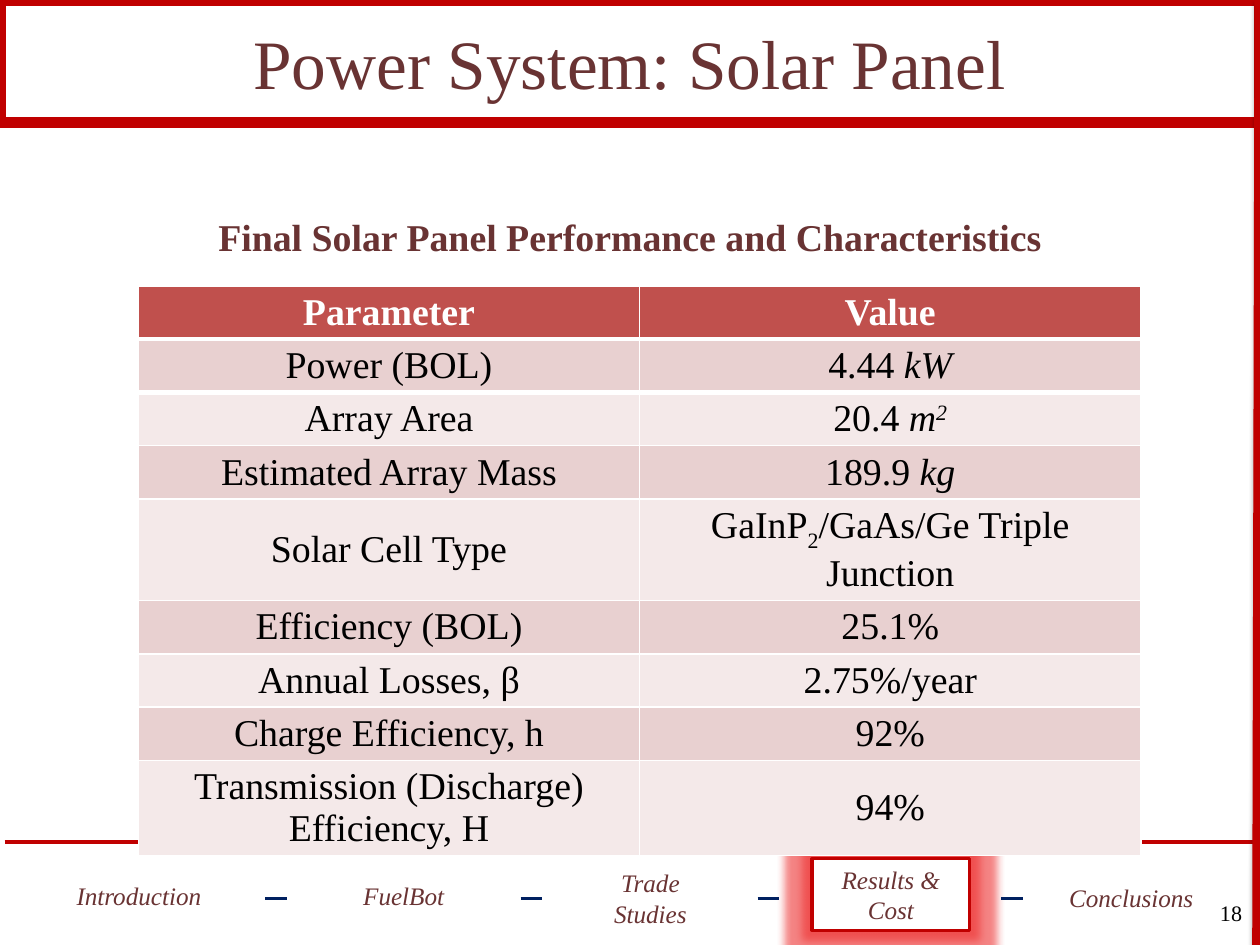
from dataclasses import dataclass

from lxml.etree import SubElement
from pptx import Presentation
from pptx.dml.color import RGBColor
from pptx.enum.shapes import MSO_CONNECTOR as Connector, MSO_SHAPE as Shape
from pptx.enum.text import MSO_ANCHOR as Anchor, PP_ALIGN as Align
from pptx.oxml.ns import qn
from pptx.util import Inches, Pt

FONT = "Times New Roman"
RED, BROWN, NAVY, WHITE, BLACK = "C00000", "693333", "002060", "FFFFFF", "000000"
HEADER_FILL, BAND_FILLS = "C0504D", ("E8D0D0", "F4E9E9")


@dataclass
class Run:
    text: str
    italic: bool = False
    baseline: int = 0


@dataclass
class Label:
    text: str
    left: float
    top: float
    width: float
    height: float
    size: int
    color: str = BROWN
    bold: bool = False
    italic: bool = False
    align: Align = Align.CENTER
    anchor: Anchor = Anchor.MIDDLE


@dataclass
class Section:
    text: str
    left: float
    top: float
    width: float
    boxed: bool = False
    line_width: float = 0


@dataclass
class Rule:
    start: tuple[float, float]
    end: tuple[float, float]
    color: str
    width: float


def rgb(value: str) -> RGBColor:
    return RGBColor.from_string(value)


def style_font(font, size: int, color: str, bold: bool = False) -> None:
    font.name, font.size, font.bold = FONT, Pt(size), bold
    font.color.rgb = rgb(color)


def add_effect(shape, tag: str, color: str, alpha: int, **attributes: int) -> None:
    effects = shape._element.spPr.find(qn("a:effectLst"))
    effect = SubElement(effects, qn(tag))
    for name, value in attributes.items():
        effect.set(name, str(value))
    tint = SubElement(effect, qn("a:srgbClr"), val=color)
    SubElement(tint, qn("a:alpha"), val=str(alpha * 1000))


def add_box(slide, left: float, top: float, width: float, height: float, line_width: float):
    """Add a white rectangle, with a red outline if line_width is not zero."""
    shape = slide.shapes.add_shape(
        Shape.RECTANGLE, Inches(left), Inches(top), Inches(width), Inches(height))
    shape.shadow.inherit = False
    shape.fill.solid()
    shape.fill.fore_color.rgb = rgb(WHITE)
    if line_width:
        shape.line.color.rgb = rgb(RED)
        shape.line.width = Pt(line_width)
    else:
        shape.line.fill.background()
    return shape


def write_label(shape, label: Label) -> None:
    frame = shape.text_frame
    frame.word_wrap = True
    frame.vertical_anchor = label.anchor
    paragraph = frame.paragraphs[0]
    paragraph.text = label.text
    paragraph.alignment = label.align
    style_font(paragraph.font, label.size, label.color, label.bold)
    paragraph.font.italic = label.italic


def add_label(slide, label: Label) -> None:
    box = slide.shapes.add_textbox(Inches(label.left), Inches(label.top),
                                   Inches(label.width), Inches(label.height))
    write_label(box, label)


def add_section(slide, section: Section) -> None:
    """Add one step of the footer; an outlined one is the current step and glows."""
    label = Label(section.text, section.left, section.top, section.width, 0.63, 16,
                  italic=True)
    if not section.boxed:
        add_label(slide, label)
        return
    box = add_box(slide, label.left, label.top, label.width, label.height,
                  section.line_width)
    write_label(box, label)
    if section.line_width:
        add_effect(box, "a:glow", "EE3030", 60, rad=Pt(11))


def add_rule(slide, rule: Rule):
    line = slide.shapes.add_connector(
        Connector.STRAIGHT, *(Inches(value) for value in rule.start + rule.end))
    line.line.color.rgb = rgb(rule.color)
    line.line.width = Pt(rule.width)
    SubElement(line._element.spPr, qn("a:effectLst"))
    return line


def add_cell_border(cell, tag: str, width: float) -> None:
    border = SubElement(cell._tc.get_or_add_tcPr(), qn(tag), w=str(Pt(width)))
    fill = SubElement(border, qn("a:solidFill"))
    SubElement(fill, qn("a:srgbClr"), val=WHITE)


def fill_cell(cell, runs: list[Run], fill: str, color: str, bold: bool) -> None:
    cell.fill.solid()
    cell.fill.fore_color.rgb = rgb(fill)
    cell.vertical_anchor = Anchor.MIDDLE
    cell.margin_top = cell.margin_bottom = Inches(0.02)
    paragraph = cell.text_frame.paragraphs[0]
    paragraph.alignment = Align.CENTER
    for part in runs:
        run = paragraph.add_run()
        run.text = part.text
        style_font(run.font, 24, color, bold)
        run.font.italic = part.italic
        if part.baseline:
            run._r.get_or_add_rPr().set("baseline", str(part.baseline * 1000))


def add_panel_table(slide, rows: list[tuple[str, list[Run]]]) -> None:
    table = slide.shapes.add_table(len(rows), 2, Inches(1.22), Inches(2.52),
                                   Inches(8.84), Inches(0.47 * len(rows))).table
    for index, (parameter, value) in enumerate(rows):
        header = index == 0
        fill = HEADER_FILL if header else BAND_FILLS[(index - 1) % 2]
        for column, runs in enumerate(([Run(parameter)], value)):
            cell = table.cell(index, column)
            if index < 2:
                add_cell_border(cell, "a:lnB" if header else "a:lnT", 3)
            fill_cell(cell, runs, fill, WHITE if header else BLACK, header)


PANEL_ROWS = [
    ("Parameter", [Run("Value")]),
    ("Power (BOL)", [Run("4.44 "), Run("kW", True)]),
    ("Array Area", [Run("20.4 "), Run("m", True), Run("2", True, 30)]),
    ("Estimated Array Mass", [Run("189.9 "), Run("kg", True)]),
    ("Solar Cell Type",
     [Run("GaInP"), Run("2", baseline=-25), Run("/GaAs/Ge Triple Junction")]),
    ("Efficiency (BOL)", [Run("25.1%")]),
    ("Annual Losses, β", [Run("2.75%/year")]),
    ("Charge Efficiency, h", [Run("92%")]),
    ("Transmission (Discharge) Efficiency, H", [Run("94%")]),
]
SECTIONS = [
    Section("Introduction", 0.39, 7.58, 1.67, boxed=True),
    Section("FuelBot", 2.81, 7.58, 1.5),
    Section("Trade Studies", 5.07, 7.6, 1.33),
    Section("Results & Cost", 7.16, 7.57, 1.39, boxed=True, line_width=2),
    Section("Conclusions", 9.31, 7.6, 1.33),
]
DASH_LEFTS = (2.34, 4.59, 6.68, 8.83)
LABELS = [
    Label("Power System: Solar Panel", 0.83, 0, 9.45, 1.09, 44),
    Label("18", 10.57, 7.88, 0.48, 0.45, 14, BLACK, align=Align.RIGHT, anchor=Anchor.TOP),
    Label("Final Solar Panel Performance and Characteristics",
          1.66, 1.83, 7.79, 0.5, 24, bold=True),
]


def main() -> None:
    presentation = Presentation()
    presentation.slide_width, presentation.slide_height = Inches(11.11), Inches(8.33)
    slide = presentation.slides.add_slide(presentation.slide_layouts[6])

    add_box(slide, 0, 0, 11.11, 1.08, 7)
    add_rule(slide, Rule((0.04, 7.42), (11.1, 7.42), RED, 2.5))
    right_edge = add_rule(slide, Rule((11.09, 8.33), (11.11, 0), RED, 7))
    add_effect(right_edge, "a:outerShdw", BLACK, 38,
               blurRad=Pt(3.1), dist=Pt(1.6), dir=90 * 60000)

    for section in SECTIONS:
        add_section(slide, section)
    for left in DASH_LEFTS:
        add_rule(slide, Rule((left, 7.92), (left + 0.19, 7.92), NAVY, 2))
    for label in LABELS:
        add_label(slide, label)
    add_panel_table(slide, PANEL_ROWS)
    presentation.save("out.pptx")


if __name__ == "__main__":
    main()
